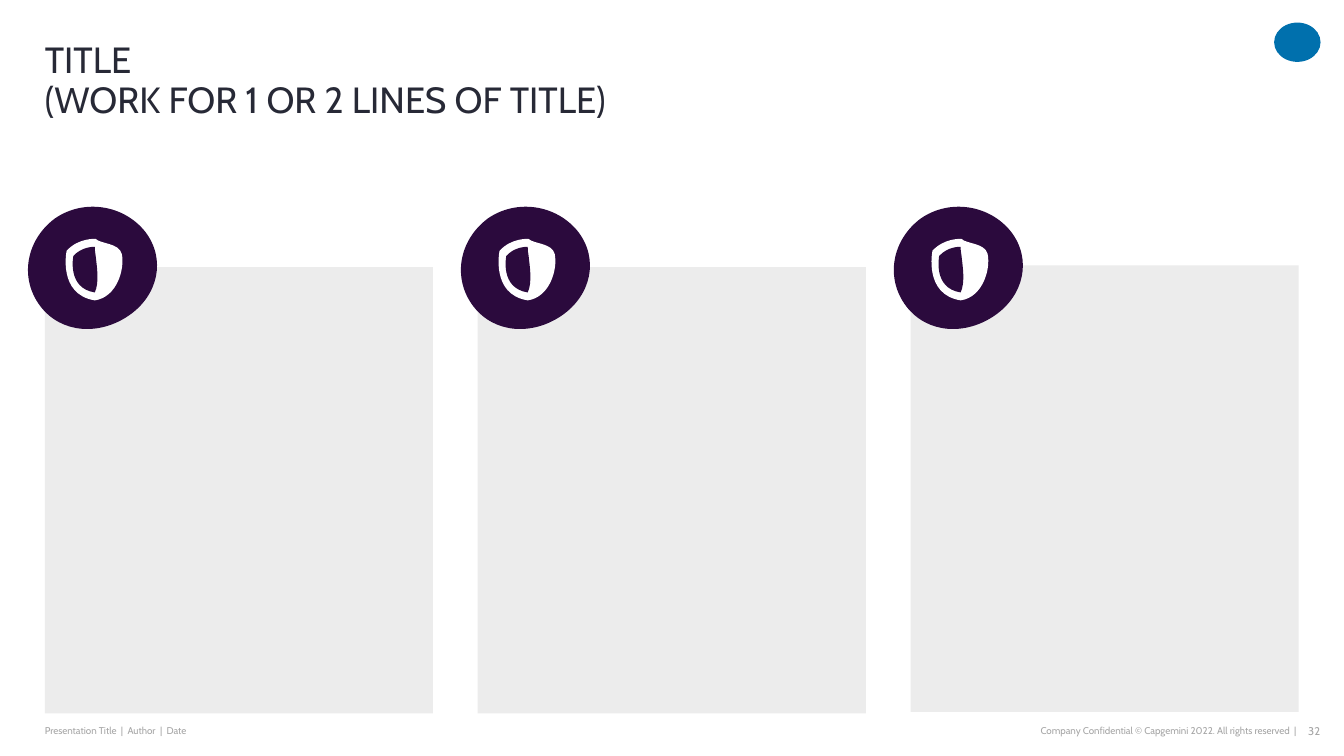
"""Build a title slide with three icon-topped content panels and a footer."""
from lxml.etree import SubElement
from pptx import Presentation
from pptx.dml.color import RGBColor
from pptx.enum.shapes import MSO_SHAPE
from pptx.enum.text import MSO_ANCHOR, PP_ALIGN
from pptx.oxml.ns import qn
from pptx.util import Cm, Pt

INK, PURPLE, WHITE = "272936", "2B0A3D", "FFFFFF"
PANEL_GREY, FOOTER_GREY, EMBLEM_BLUE = "ECECEC", "A6A6A6", "0070AD"
COLUMN_PITCH = 10.91

BADGE = [(1.02, 7.72),
         (0.48, 7.01), (0.66, 6.05), (1.38, 5.51),
         (2.11, 5.0), (3.12, 5.16), (3.66, 5.84),
         (4.19, 6.53), (3.99, 7.44), (3.25, 7.95),
         (2.51, 8.46), (1.55, 8.41), (1.02, 7.72)]
SHIELD = [(1.68, 6.32),
          (1.98, 5.99), (2.41, 6.02), (2.41, 6.02),
          (2.54, 6.15), (3.0, 6.12), (3.07, 6.4),
          (3.15, 6.78), (2.95, 7.49), (2.39, 7.57),
          (1.45, 7.42), (1.68, 6.32), (1.68, 6.32)]
SHIELD_HALF = [(2.41, 6.43),
               (2.39, 6.32), (2.39, 6.27), (2.39, 6.22),
               (2.34, 6.22), (2.06, 6.22), (1.85, 6.45),
               (1.85, 6.45), (1.68, 7.26), (2.39, 7.37),
               (2.51, 7.11), (2.44, 6.71), (2.41, 6.43)]


def paint(shape, color):
    shape.shadow.inherit = False
    shape.fill.solid()
    shape.fill.fore_color.rgb = RGBColor.from_string(color)
    shape.line.fill.background()


def add_curved_outline(group, nodes, color):
    builder = group.shapes.build_freeform(*nodes[0])
    builder.add_line_segments(nodes[1:], close=False)
    outline = builder.convert_to_shape()
    track = next(outline._element.iter(qn("a:path")))
    segments = track.findall(qn("a:lnTo"))
    for start in range(0, len(segments), 3):
        curve = SubElement(track, qn("a:cubicBezTo"))
        for segment in segments[start:start + 3]:
            curve.append(segment[0])
            track.remove(segment)
    paint(outline, color)


prs = Presentation()
prs.slide_width, prs.slide_height = Cm(33.87), Cm(19.05)
slide = prs.slides.add_slide(prs.slide_layouts[6])
shapes = slide.shapes

emblem = shapes.add_shape(MSO_SHAPE.OVAL, Cm(32.11), Cm(0.57), Cm(1.17), Cm(0.99))
paint(emblem, EMBLEM_BLUE)

for text, left, top, width, height, size, color, align, anchor in [
    ("Presentation Title  |  Author  |  Date", 1.13, 18.11, 9.47, 0.61,
     7, FOOTER_GREY, PP_ALIGN.LEFT, MSO_ANCHOR.MIDDLE),
    ("Company Confidential © Capgemini 2022. All rights reserved  |", 20.07, 18.11, 12.6, 0.61,
     7, FOOTER_GREY, PP_ALIGN.RIGHT, MSO_ANCHOR.MIDDLE),
    ("32", 32.63, 18.11, 0.64, 0.61,
     8, FOOTER_GREY, PP_ALIGN.RIGHT, MSO_ANCHOR.MIDDLE),
    ("TITLE\v(WORK FOR 1 OR 2 LINES OF TITLE)", 1.13, 1.07, 30.4, 1.98,
     26, INK, PP_ALIGN.LEFT, MSO_ANCHOR.BOTTOM),
]:
    frame = shapes.add_textbox(Cm(left), Cm(top), Cm(width), Cm(height)).text_frame
    frame.word_wrap = True
    frame.vertical_anchor = anchor
    frame.margin_left = frame.margin_right = frame.margin_top = frame.margin_bottom = 0
    frame.text = text
    line = frame.paragraphs[0]
    line.alignment = align
    line.line_spacing = 0.9 if size == 26 else 1.0
    line.font.name = "Cabin"
    line.font.size = Pt(size)
    line.font.color.rgb = RGBColor.from_string(color)

for column, panel_top in enumerate([6.73, 6.73, 6.69]):
    offset = column * COLUMN_PITCH
    panel = shapes.add_shape(MSO_SHAPE.RECTANGLE, Cm(1.13 + offset), Cm(panel_top),
                             Cm(9.78), Cm(11.25))
    paint(panel, PANEL_GREY)

    icon = shapes.add_group_shape()
    for outline, color in [(BADGE, PURPLE), (SHIELD, WHITE), (SHIELD_HALF, PURPLE)]:
        add_curved_outline(icon, [(Cm(x + offset), Cm(y)) for x, y in outline], color)

prs.save("out.pptx")
